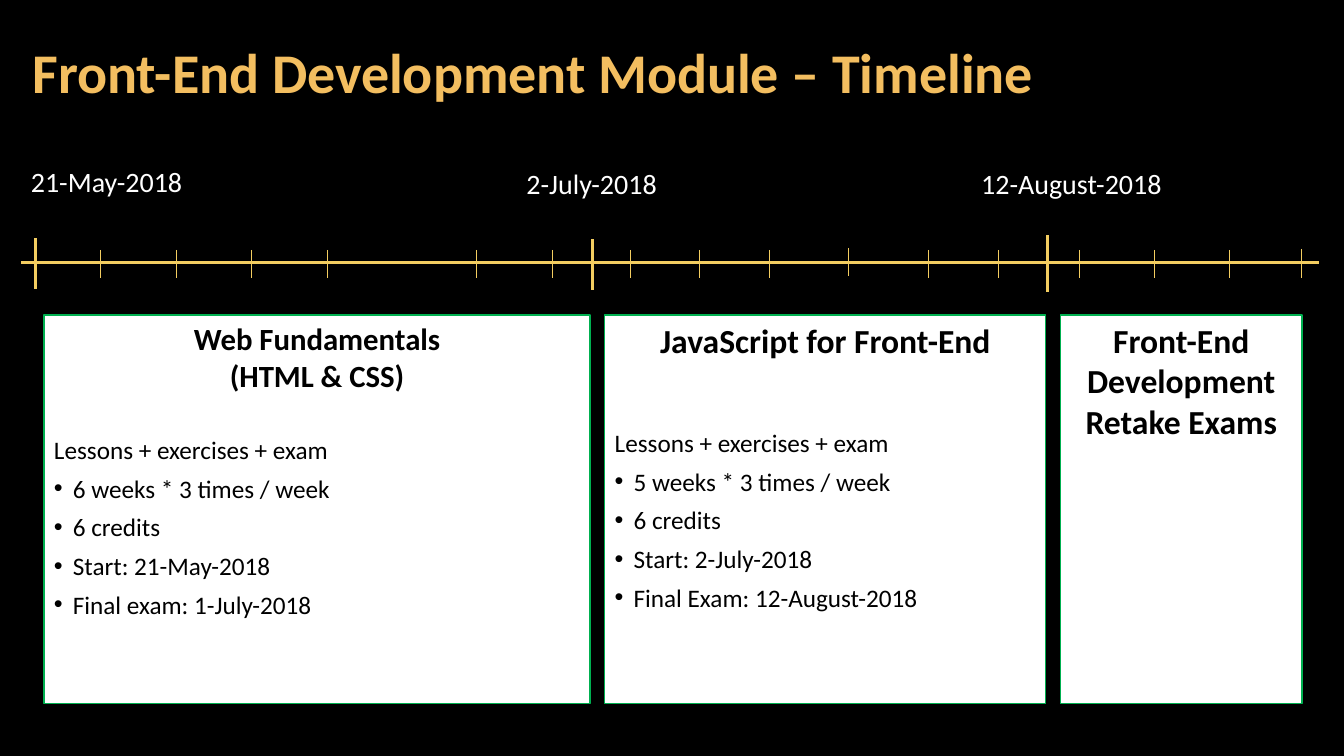
from dataclasses import dataclass

from lxml.etree import SubElement
from pptx import Presentation
from pptx.dml.color import RGBColor
from pptx.enum.shapes import MSO_CONNECTOR as Connector, MSO_SHAPE as Shape
from pptx.enum.text import MSO_ANCHOR as Anchor, MSO_AUTO_SIZE as AutoSize, PP_ALIGN as Align
from pptx.oxml.ns import qn
from pptx.util import Emu, Pt

FONT = "Calibri"
BLACK, WHITE = "000000", "FFFFFF"
TITLE_GOLD, LINE_GOLD, GREEN = "F3BE60", "F3CD60", "00B050"
AXIS_Y = 250
CARD_TOP, CARD_HEIGHT = 300, 370
BULLET_INDENT = 18


@dataclass
class Tick:
    x: int
    top: int = 238
    bottom: int = 265
    weight: float = 0.5


@dataclass
class DateLabel:
    text: str
    left: int
    top: int
    width: int


@dataclass
class Course:
    heading: str
    heading_size: int
    left: int
    width: int
    summary: str = ""
    summary_gap: int = 0
    facts: tuple[str, ...] = ()


MINOR_TICKS = [
    Tick(x)
    for x in (33, 96, 168, 239, 312, 454, 526, 600, 666, 733, 884, 951, 1028, 1099, 1171)
] + [Tick(808, 236, 263), Tick(1239, 237, 265)]

MAJOR_TICKS = [
    Tick(34, 227, 275, 2.25),
    Tick(564, 228, 276, 2.25),
    Tick(998, 224, 278, 2.25),
]

DATES = [
    DateLabel("21-May-2018", 20, 152, 165),
    DateLabel("2-July-2018", 492, 154, 145),
    DateLabel("12-August-2018", 925, 154, 194),
]

COURSES = [
    Course(
        "Web Fundamentals\n(HTML & CSS)", 22, 42, 520,
        "Lessons + exercises + exam", 26,
        ("6 weeks * 3 times / week", "6 credits",
         "Start: 21-May-2018", "Final exam: 1-July-2018"),
    ),
    Course(
        "JavaScript for Front-End", 24, 576, 420,
        "Lessons + exercises + exam", 45,
        ("5 weeks * 3 times / week", "6 credits",
         "Start: 2-July-2018", "Final Exam: 12-August-2018"),
    ),
    Course("Front-End Development\nRetake Exams", 24, 1010, 230),
]


def px(length: int) -> Emu:
    return Emu(length * 9525)


def color(value: str) -> RGBColor:
    return RGBColor.from_string(value)


def style(paragraph, size: int, ink: str, bold: bool = False) -> None:
    font = paragraph.font
    font.name = FONT
    font.size = Pt(size)
    font.bold = bold
    font.color.rgb = color(ink)


def add_bullet(paragraph) -> None:
    properties = paragraph._p.get_or_add_pPr()
    properties.set("marL", str(px(BULLET_INDENT)))
    properties.set("indent", str(px(-BULLET_INDENT)))
    SubElement(properties, qn("a:buFont"), typeface="Arial")
    SubElement(properties, qn("a:buChar"), char="•")


def draw_title(slide, text: str) -> None:
    title = slide.shapes.add_textbox(px(20), px(14), px(1005), px(116))
    frame = title.text_frame
    frame.word_wrap = True
    frame.vertical_anchor = Anchor.MIDDLE
    frame.margin_left = frame.margin_right = px(11)
    frame.margin_top = frame.margin_bottom = px(4)
    heading = frame.paragraphs[0]
    heading.text = text
    heading.line_spacing = 0.9
    style(heading, 40, TITLE_GOLD, True)


def draw_line(slide, x1: int, y1: int, x2: int, y2: int, weight: float) -> None:
    line = slide.shapes.add_connector(Connector.STRAIGHT, px(x1), px(y1), px(x2), px(y2))
    line.line.color.rgb = color(LINE_GOLD)
    line.line.width = Pt(weight)
    SubElement(line._element.spPr, qn("a:effectLst"))


def draw_date(slide, label: DateLabel) -> None:
    box = slide.shapes.add_textbox(px(label.left), px(label.top), px(label.width), px(42))
    frame = box.text_frame
    frame.word_wrap = False
    frame.auto_size = AutoSize.SHAPE_TO_FIT_TEXT
    date = frame.paragraphs[0]
    date.text = label.text
    style(date, 20, WHITE)


def draw_course(slide, course: Course) -> None:
    card = slide.shapes.add_shape(
        Shape.RECTANGLE, px(course.left), px(CARD_TOP), px(course.width), px(CARD_HEIGHT))
    card.shadow.inherit = False
    card.fill.solid()
    card.fill.fore_color.rgb = color(WHITE)
    card.line.color.rgb = color(GREEN)
    card.line.width = Pt(1)
    frame = card.text_frame
    frame.word_wrap = True
    frame.vertical_anchor = Anchor.TOP

    heading = frame.paragraphs[0]
    heading.text = course.heading
    heading.alignment = Align.CENTER
    heading.space_after = Pt(3)
    style(heading, course.heading_size, BLACK, True)

    if course.summary:
        summary = frame.add_paragraph()
        summary.text = course.summary
        summary.alignment = Align.LEFT
        summary.space_before = Pt(course.summary_gap)
        style(summary, 18, BLACK)

    for text in course.facts:
        fact = frame.add_paragraph()
        fact.text = text
        fact.alignment = Align.LEFT
        fact.space_before = Pt(6)
        add_bullet(fact)
        style(fact, 18, BLACK)


def main() -> None:
    deck = Presentation()
    deck.slide_width, deck.slide_height = px(1280), px(720)
    slide = deck.slides.add_slide(deck.slide_layouts[6])
    slide.background.fill.solid()
    slide.background.fill.fore_color.rgb = color(BLACK)

    draw_title(slide, "Front-End Development Module – Timeline")
    draw_line(slide, 20, AXIS_Y, 1256, AXIS_Y, 2.25)
    for tick in MINOR_TICKS + MAJOR_TICKS:
        draw_line(slide, tick.x, tick.top, tick.x, tick.bottom, tick.weight)
    for label in DATES:
        draw_date(slide, label)
    for course in COURSES:
        draw_course(slide, course)
    deck.save("out.pptx")


if __name__ == "__main__":
    main()
